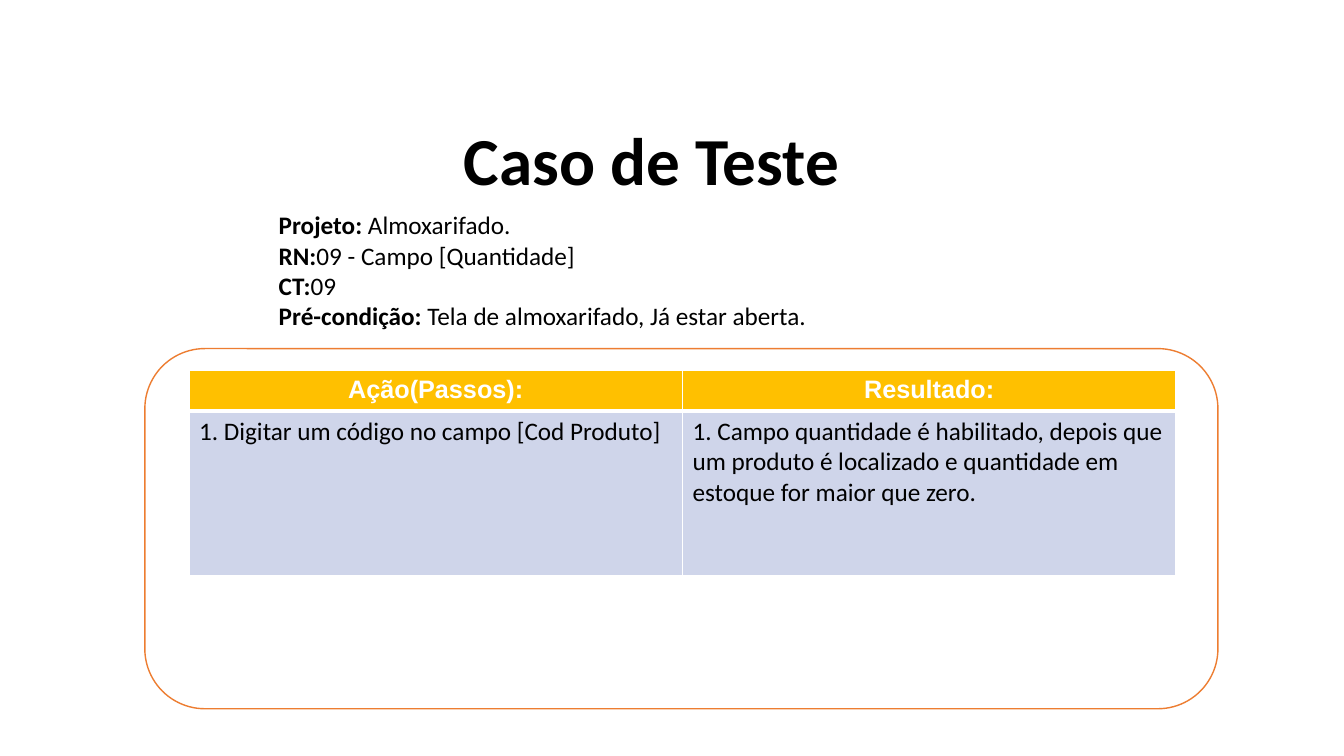
from pptx import Presentation
from pptx.dml.color import RGBColor
from pptx.enum.shapes import MSO_SHAPE as Shape
from pptx.enum.text import MSO_ANCHOR as Anchor, PP_ALIGN as Align
from pptx.oxml import parse_xml
from pptx.oxml.ns import nsdecls

PX = 9525
BLACK = RGBColor(0x00, 0x00, 0x00)
WHITE = RGBColor(0xFF, 0xFF, 0xFF)
ORANGE = RGBColor(0xED, 0x7D, 0x31)
GOLD = RGBColor(0xFF, 0xC0, 0x00)
LAVENDER = RGBColor(0xCF, 0xD5, 0xEA)


def write(para, text, size=18, font="Calibri", color=BLACK, bold=False, align=Align.LEFT):
    para.alignment = align
    span = para.add_run()
    span.text = text
    span.font.size = size * 12700
    span.font.name = font
    span.font.color.rgb = color
    span.font.bold = bold


def add_borders(cell, bottom):
    properties = cell._tc.get_or_add_tcPr()
    widths = {"lnL": 1, "lnR": 1, "lnT": 1, "lnB": bottom}
    for index, (side, points) in enumerate(widths.items()):
        properties.insert(index, parse_xml(
            f'<a:{side} {nsdecls("a")} w="{points * 12700}"><a:solidFill>'
            f'<a:srgbClr val="{WHITE}"/></a:solidFill></a:{side}>'))


deck = Presentation()
deck.slide_width = 1280 * PX
deck.slide_height = 720 * PX
page = deck.slides.add_slide(deck.slide_layouts[5])

title = page.shapes.title
title.left, title.top, title.width, title.height = [v * PX for v in (432, 108, 430, 87)]
title.text_frame.vertical_anchor = Anchor.TOP
title.text_frame.word_wrap = True
write(title.text_frame.paragraphs[0], "Caso de Teste", size=48, bold=True)

panel = page.shapes.add_shape(
    Shape.ROUNDED_RECTANGLE, *[v * PX for v in (138, 332, 1022, 343)])
panel.shadow.inherit = False
panel.fill.solid()
panel.fill.fore_color.rgb = WHITE
panel.line.color.rgb = ORANGE
panel.line.width = 12700

details = [
    ("Projeto: ", "Almoxarifado."),
    ("RN:", "09 - Campo [Quantidade]"),
    ("CT:", "09"),
    ("Pré-condição: ", "Tela de almoxarifado, Já estar aberta."),
]
box = page.shapes.add_textbox(*[v * PX for v in (256, 195, 806, 156)])
box.text_frame.word_wrap = True
for index, (label, value) in enumerate(details):
    para = box.text_frame.add_paragraph() if index else box.text_frame.paragraphs[0]
    write(para, label, bold=True)
    write(para, value)

rows = [
    ("Ação(Passos):", "Resultado:"),
    ("1. Digitar um código no campo [Cod Produto]",
     "1. Campo quantidade é habilitado, depois que um produto é localizado "
     "e quantidade em estoque for maior que zero."),
]
header_format = dict(font="Arial", color=WHITE, bold=True, align=Align.CENTER)
steps = page.shapes.add_table(
    2, 2, *[v * PX for v in (180, 353, 940, 194)]).table
for column in steps.columns:
    column.width = 470 * PX
for row, height in zip(steps.rows, (37, 157)):
    row.height = height * PX
for row_index, texts in enumerate(rows):
    is_header = row_index == 0
    for column_index, text in enumerate(texts):
        cell = steps.cell(row_index, column_index)
        cell.fill.solid()
        cell.fill.fore_color.rgb = GOLD if is_header else LAVENDER
        add_borders(cell, bottom=3 if is_header else 1)
        write(cell.text_frame.paragraphs[0], text, **(header_format if is_header else {}))

deck.save("out.pptx")
